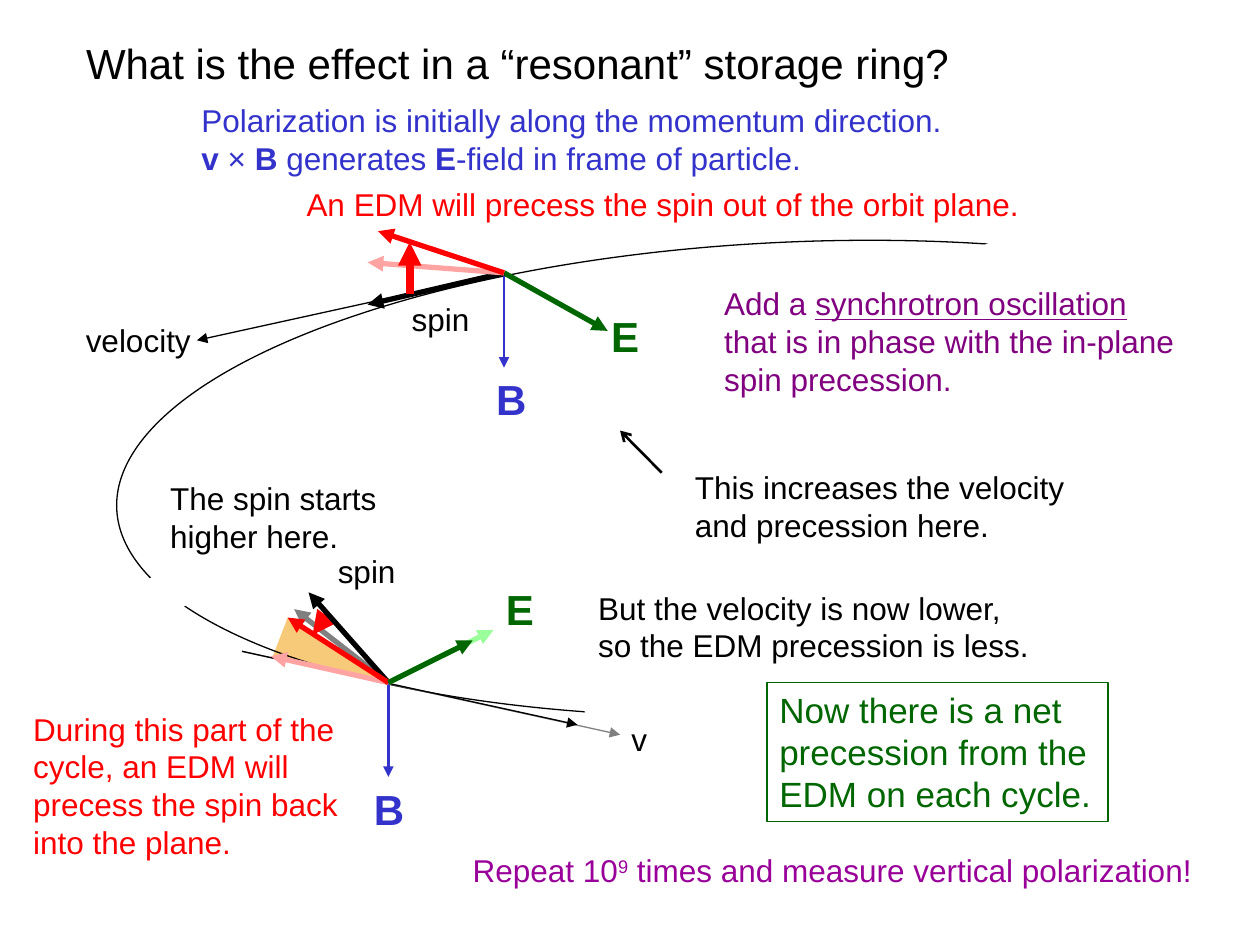
from lxml.etree import SubElement
from pptx import Presentation
from pptx.dml.color import RGBColor
from pptx.enum.shapes import MSO_CONNECTOR, MSO_SHAPE
from pptx.enum.text import MSO_ANCHOR, MSO_AUTO_SIZE, PP_ALIGN
from pptx.oxml.ns import qn
from pptx.util import Cm, Pt

BLACK = RGBColor(0x00, 0x00, 0x00)
WHITE = RGBColor(0xFF, 0xFF, 0xFF)
GRAY = RGBColor(0x80, 0x80, 0x80)
RED = RGBColor(0xFF, 0x00, 0x00)
PINK = RGBColor(0xFF, 0xA3, 0xA3)
BLUE = RGBColor(0x33, 0x33, 0xCC)
GREEN = RGBColor(0x00, 0x66, 0x00)
LIGHT_GREEN = RGBColor(0x9B, 0xFF, 0x9B)
PURPLE = RGBColor(0x80, 0x00, 0x80)
MAGENTA = RGBColor(0x99, 0x00, 0x99)
ORANGE = RGBColor(0xF7, 0xCA, 0x79)

UPPER = (10.16, 5.5)
LOWER = (7.83, 13.76)
DRIFT = (4.88, 13.13)


def place(shape, left, top, width, height):
    shape.left, shape.top = Cm(left), Cm(top)
    shape.width, shape.height = Cm(width), Cm(height)


def write(shape, lines, size=18, color=BLACK, bold=False):
    frame = shape.text_frame
    frame.word_wrap = False
    frame.auto_size = MSO_AUTO_SIZE.SHAPE_TO_FIT_TEXT
    frame.vertical_anchor = MSO_ANCHOR.TOP
    for index, line in enumerate(lines):
        paragraph = frame.add_paragraph() if index else frame.paragraphs[0]
        paragraph.alignment = PP_ALIGN.LEFT
        for words, style in [(line, "")] if isinstance(line, str) else line:
            run = paragraph.add_run()
            run.text = words
            run.font.name = "Arial"
            run.font.size = Pt(size)
            run.font.color.rgb = color
            run.font.bold = bold or style == "bold"
            if style == "underline":
                run.font.underline = True
            if style == "superscript":
                run.font._element.set("baseline", "30000")


def add_label(slide, box, *lines, **text_format):
    label = slide.shapes.add_textbox(*map(Cm, box))
    write(label, lines, **text_format)


def paint(shape, fill=None, outline=None):
    shape.shadow.inherit = False
    if fill is None:
        shape.fill.background()
    else:
        shape.fill.solid()
        shape.fill.fore_color.rgb = fill
    if outline is None:
        shape.line.fill.background()
    else:
        shape.line.color.rgb = outline
        shape.line.width = Pt(0.75)


def add_figure(slide, kind, box, rotation=0, fill=None, outline=None):
    figure = slide.shapes.add_shape(kind, *map(Cm, box))
    figure.rotation = rotation
    paint(figure, fill, outline)
    return figure


def add_wedge(slide, corners, fill):
    points = [(Cm(x), Cm(y)) for x, y in corners]
    builder = slide.shapes.build_freeform(*points[0], scale=1.0)
    builder.add_line_segments(points[1:], close=True)
    paint(builder.convert_to_shape(), fill)


def add_arrow(slide, start, tip, color, width=3, head="triangle"):
    arrow = slide.shapes.add_connector(
        MSO_CONNECTOR.STRAIGHT, *map(Cm, start + tip))
    arrow.line.color.rgb = color
    arrow.line.width = Pt(width)
    SubElement(arrow.line._get_or_add_ln(), qn("a:tailEnd"), type=head)
    SubElement(arrow._element.spPr, qn("a:effectLst"))


def add_orbit(slide):
    add_wedge(slide, [LOWER, (5.8, 12.45), (5.49, 13.26)], ORANGE)
    add_figure(slide, MSO_SHAPE.OVAL, (2.34, 4.88, 27.3, 9.53), 357.4,
               outline=BLACK)
    add_figure(slide, MSO_SHAPE.RECTANGLE, (10.74, 5.13, 19.48, 9.53), 335.7,
               fill=WHITE, outline=WHITE)
    add_figure(slide, MSO_SHAPE.RECTANGLE, (2.33, 11.64, 1.69, 0.85), 327.6,
               fill=WHITE)


def add_upper_vectors(slide):
    add_arrow(slide, UPPER, (10.16, 7.41), BLUE, 1.5)
    add_arrow(slide, UPPER, (12.25, 6.67), GREEN)
    add_arrow(slide, UPPER, (7.41, 6.14), BLACK)
    add_arrow(slide, UPPER, (3.97, 6.86), BLACK, 0.75)
    add_arrow(slide, UPPER, (7.41, 5.29), PINK)
    add_arrow(slide, (8.26, 5.93), (8.26, 4.88), RED, 4.5)
    add_arrow(slide, UPPER, (7.62, 4.66), RED)
    add_label(slide, (9.75, 7.41, 1.15, 1.27), "B", size=24, color=BLUE, bold=True)
    add_label(slide, (12.07, 6.14, 1.1, 1.27), "E", size=24, color=GREEN, bold=True)
    add_label(slide, (1.48, 6.35, 2.68, 1.02), "velocity")
    add_label(slide, (8.05, 5.93, 1.75, 1.02), "spin")


def add_lower_vectors(slide):
    add_arrow(slide, DRIFT, (12.5, 14.81), GRAY, 0.75)
    add_arrow(slide, DRIFT, (11.64, 14.61), BLACK, 0.75)
    add_arrow(slide, LOWER, (7.83, 15.66), BLUE, 1.5)
    add_arrow(slide, LOWER, (9.95, 12.7), LIGHT_GREEN)
    add_arrow(slide, LOWER, (5.93, 12.28), GRAY)
    add_arrow(slide, LOWER, (5.46, 13.23), PINK)
    add_arrow(slide, (6.6, 12.4), (6.3, 12.8), RED, 4.5)
    add_arrow(slide, LOWER, (6.22, 11.94), BLACK)
    add_arrow(slide, LOWER, (5.8, 12.45), RED)
    add_arrow(slide, LOWER, (9.53, 12.91), GREEN)
    add_label(slide, (7.29, 15.66, 1.15, 1.27), "B", size=24, color=BLUE, bold=True)
    add_label(slide, (9.95, 11.64, 1.1, 1.27), "E", size=24, color=GREEN, bold=True)
    add_label(slide, (6.56, 11.0, 1.75, 1.02), "spin")
    add_label(slide, (12.48, 14.4, 0.85, 1.02), "v")


def add_explanations(slide):
    add_label(slide, (3.81, 1.91, 15.6, 1.78),
              "Polarization is initially along the momentum direction.",
              [("v ", "bold"), ("× ", ""), ("B", "bold"), (" generates ", ""),
               ("E", "bold"), ("-field in frame of particle.", "")],
              color=BLUE)
    add_label(slide, (5.93, 3.6, 15.1, 1.02),
              "An EDM will precess the spin out of the orbit plane.", color=RED)
    add_label(slide, (14.35, 5.61, 9.7, 2.54),
              [("Add a ", ""), ("synchrotron oscillation", "underline")],
              "that is in phase with the in-plane", "spin precession.",
              color=PURPLE)
    add_label(slide, (13.76, 9.32, 8.1, 1.78),
              "This increases the velocity", "and precession here.")
    add_arrow(slide, (13.34, 9.53), (12.5, 8.68), BLACK, 1.5, "arrow")
    add_label(slide, (3.18, 9.53, 4.8, 1.78),
              "The spin starts", "higher here.")
    add_label(slide, (11.81, 11.74, 9.35, 1.78),
              "But the velocity is now lower,", "so the EDM precession is less.")
    add_label(slide, (0.42, 14.18, 6.8, 3.3),
              "During this part of the", "cycle, an EDM will",
              "precess the spin back", "into the plane.", color=RED)
    conclusion = add_figure(slide, MSO_SHAPE.RECTANGLE,
                            (15.46, 13.76, 6.88, 2.8), outline=GREEN)
    write(conclusion, ["Now there is a net", "precession from the",
                       "EDM on each cycle."], size=20, color=GREEN)
    add_label(slide, (9.28, 17.04, 15.15, 1.02),
              [("Repeat 10", ""), ("9", "superscript"),
               (" times and measure vertical polarization!", "")],
              color=MAGENTA)


def main():
    presentation = Presentation()
    presentation.slide_width, presentation.slide_height = Cm(25.4), Cm(19.05)
    slide = presentation.slides.add_slide(presentation.slide_layouts[5])
    place(slide.shapes.title, 1.48, 0.62, 18.1, 1.27)
    write(slide.shapes.title,
          ["What is the effect in a “resonant” storage ring?"], size=24)
    add_orbit(slide)
    add_upper_vectors(slide)
    add_lower_vectors(slide)
    add_explanations(slide)
    presentation.save("out.pptx")


if __name__ == "__main__":
    main()
